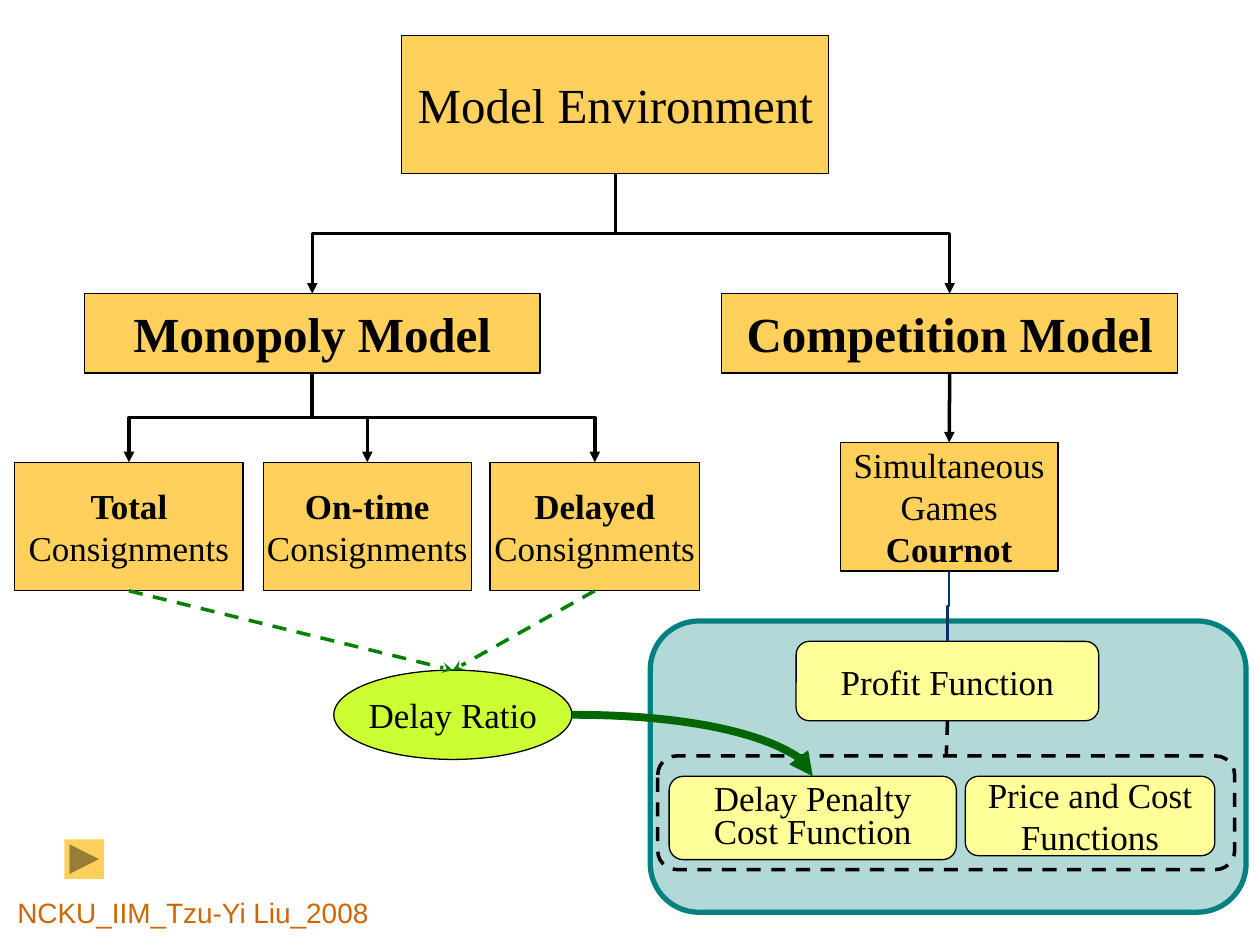
import lxml.etree as etree
import pptx
import pptx.dml.color
import pptx.enum.dml
import pptx.enum.shapes
import pptx.enum.text
import pptx.oxml.ns
import pptx.util

Cm, Pt = pptx.util.Cm, pptx.util.Pt
RGBColor = pptx.dml.color.RGBColor
SHAPE = pptx.enum.shapes.MSO_SHAPE
CONN = pptx.enum.shapes.MSO_CONNECTOR
DASH = pptx.enum.dml.MSO_LINE.DASH
qn = pptx.oxml.ns.qn

BLACK = RGBColor(0x00, 0x00, 0x00)
AMBER = RGBColor(0xFF, 0xD0, 0x5B)
YELLOW = RGBColor(0xFF, 0xFF, 0x99)
LIME = RGBColor(0xCC, 0xFF, 0x33)
TEAL = RGBColor(0x00, 0x80, 0x80)
GREEN = RGBColor(0x00, 0x80, 0x00)
DARK_GREEN = RGBColor(0x00, 0x66, 0x00)
NAVY = RGBColor(0x00, 0x33, 0x66)
ORANGE = RGBColor(0xCC, 0x66, 0x00)

TOP, BOTTOM = 0, 2
HEADING = {"size": Pt(28), "name": "Times New Roman"}
LABEL = {"size": Pt(20), "name": "Times New Roman"}


def set_attrs(obj, fmt):
    for name, value in fmt.items():
        setattr(obj, name, value)


def style_line(line, color, width, dash=None):
    line.color.rgb = color
    line.width = Pt(width)
    if dash:
        line.dash_style = dash


def add_box(slide, kind, box, fill=None, line=(BLACK, 0.75)):
    sp = slide.shapes.add_shape(kind, *[Cm(v) for v in box])
    sp.shadow.inherit = False
    if fill is None:
        sp.fill.background()
    else:
        sp.fill.solid()
        sp.fill.fore_color.rgb = fill
    if line:
        style_line(sp.line, *line)
    else:
        sp.line.fill.background()
    return sp


def add_node(slide, kind, box, fill, lines, font=LABEL, bold=(), inset=(0.25, 0.13),
             spacing=None):
    """Filled shape with centred lines; bold holds the indexes of bold lines."""
    sp = add_box(slide, kind, box, fill)
    tf = sp.text_frame
    across, down = Cm(inset[0]), Cm(inset[1])
    set_attrs(tf, {"word_wrap": False,
                   "vertical_anchor": pptx.enum.text.MSO_ANCHOR.MIDDLE,
                   "margin_left": across, "margin_right": across,
                   "margin_top": down, "margin_bottom": down})
    for i, text in enumerate(lines):
        p = tf.paragraphs[0] if i == 0 else tf.add_paragraph()
        p.alignment = pptx.enum.text.PP_ALIGN.CENTER
        if spacing:
            p.line_spacing = spacing
        r = p.add_run()
        r.text = text
        set_attrs(r.font, {**font, "bold": i in bold})
        r.font.color.rgb = BLACK
    return sp


def finish_connector(c, line, arrow=None):
    style_line(c.line, *line)
    if arrow:
        etree.SubElement(c.line._get_or_add_ln(), qn("a:tailEnd"), type=arrow)
    etree.SubElement(c._element.spPr, qn("a:effectLst"))


def join(slide, kind, start, end, line, arrow=None):
    """Connect the bottom of one shape to the top of another."""
    c = slide.shapes.add_connector(kind, 0, 0, 0, 0)
    c.begin_connect(start, BOTTOM)
    c.end_connect(end, TOP)
    if kind == CONN.ELBOW:
        turn_down(c)
    finish_connector(c, line, arrow)


def turn_down(c):
    """Rotate an elbow so that it leaves and arrives vertically."""
    x1, y1, x2, y2 = c.begin_x, c.begin_y, c.end_x, c.end_y
    w, h = y2 - y1, abs(x2 - x1)
    xfrm = c._element.spPr.find(qn("a:xfrm"))
    for name in ("flipH", "flipV"):
        xfrm.attrib.pop(name, None)
    set_attrs(c, {"left": (x1 + x2 - w) // 2, "top": (y1 + y2 - h) // 2,
                  "width": w, "height": h})
    if x2 > x1:
        xfrm.set("rot", "16200000")
        xfrm.set("flipH", "1")
    else:
        xfrm.set("rot", "5400000")


def add_panels(slide):
    panel = add_box(slide, SHAPE.ROUNDED_RECTANGLE, (13.11, 12.52, 12.01, 5.87),
                    TEAL, (TEAL, 3))
    color = panel.fill._xPr.find(qn("a:solidFill"))[0]
    etree.SubElement(color, qn("a:alpha"), val="30000")
    return add_box(slide, SHAPE.ROUNDED_RECTANGLE, (13.26, 15.24, 11.63, 2.29),
                   line=(BLACK, 2, DASH))


def add_footer(slide):
    sp = slide.shapes.add_textbox(Cm(0.1), Cm(17.93), Cm(8.81), Cm(0.94))
    sp.text_frame.word_wrap = True
    r = sp.text_frame.paragraphs[0].add_run()
    r.text = "NCKU_IIM_Tzu-Yi Liu_2008"
    set_attrs(r.font, {"size": Pt(16), "name": "Arial"})
    r.font.color.rgb = ORANGE


def main():
    prs = pptx.Presentation()
    set_attrs(prs, {"slide_width": Cm(25.4), "slide_height": Cm(19.05)})
    slide = prs.slides.add_slide(prs.slide_layouts[6])
    add_footer(slide)
    cost_group = add_panels(slide)

    # Model tree
    rect = SHAPE.RECTANGLE
    root = add_node(slide, rect, (8.1, 0.71, 8.61, 2.79), AMBER,
                    ["Model Environment"], HEADING)
    monopoly, competition = [
        add_node(slide, rect, (x, 5.92, 9.19, 1.6), AMBER, [text], HEADING, {0})
        for x, text in ((1.7, "Monopoly Model"), (14.55, "Competition Model"))]
    total, on_time, delayed = [
        add_node(slide, rect, (x, 9.32, w, 2.59), AMBER, [text, "Consignments"], bold={0})
        for x, w, text in ((0.3, 4.6, "Total"), (5.31, 4.19, "On-time"),
                           (9.88, 4.22, "Delayed"))]
    games = add_node(slide, rect, (16.94, 8.92, 4.39, 2.59), AMBER,
                     ["Simultaneous", "Games", "Cournot"], bold={2})

    # Functions and delay ratio
    rounded = SHAPE.FLOWCHART_ALTERNATE_PROCESS
    profit = add_node(slide, rounded, (16.05, 12.93, 6.1, 1.6), YELLOW,
                      ["Profit Function"])
    add_node(slide, rounded, (19.46, 15.65, 5.03, 1.6), YELLOW,
             ["Price and Cost", "Functions"], inset=(0, 0))
    penalty = add_node(slide, rounded, (13.49, 15.65, 5.79, 1.68), YELLOW,
                       ["Delay Penalty", "Cost Function"], spacing=0.8)
    ratio = add_node(slide, SHAPE.OVAL, (6.73, 13.51, 4.8, 1.8), LIME, ["Delay Ratio"])

    # Next button
    add_box(slide, SHAPE.ACTION_BUTTON_FORWARD_OR_NEXT, (1.3, 16.92, 0.8, 0.8),
            AMBER, None)

    # Tree branches
    for parent, children in ((root, (monopoly, competition)),
                             (monopoly, (total, on_time, delayed))):
        for child in children:
            join(slide, CONN.ELBOW, parent, child, (BLACK, 2), "triangle")
    join(slide, CONN.STRAIGHT, competition, games, (BLACK, 2), "triangle")
    join(slide, CONN.ELBOW, games, profit, (NAVY, 1.25))
    join(slide, CONN.STRAIGHT, profit, cost_group, (BLACK, 2, DASH))

    # Delay links
    for source in (total, delayed):
        join(slide, CONN.STRAIGHT, source, ratio, (GREEN, 2, DASH), "stealth")
    c = slide.shapes.add_connector(
        CONN.CURVE, ratio.left + ratio.width, ratio.top + ratio.height // 2,
        penalty.left + penalty.width // 2, penalty.top)
    c._element.spPr.find(qn("a:prstGeom")).set("prst", "curvedConnector2")
    finish_connector(c, (DARK_GREEN, 4.5), "triangle")

    prs.save("out.pptx")


if __name__ == "__main__":
    main()
